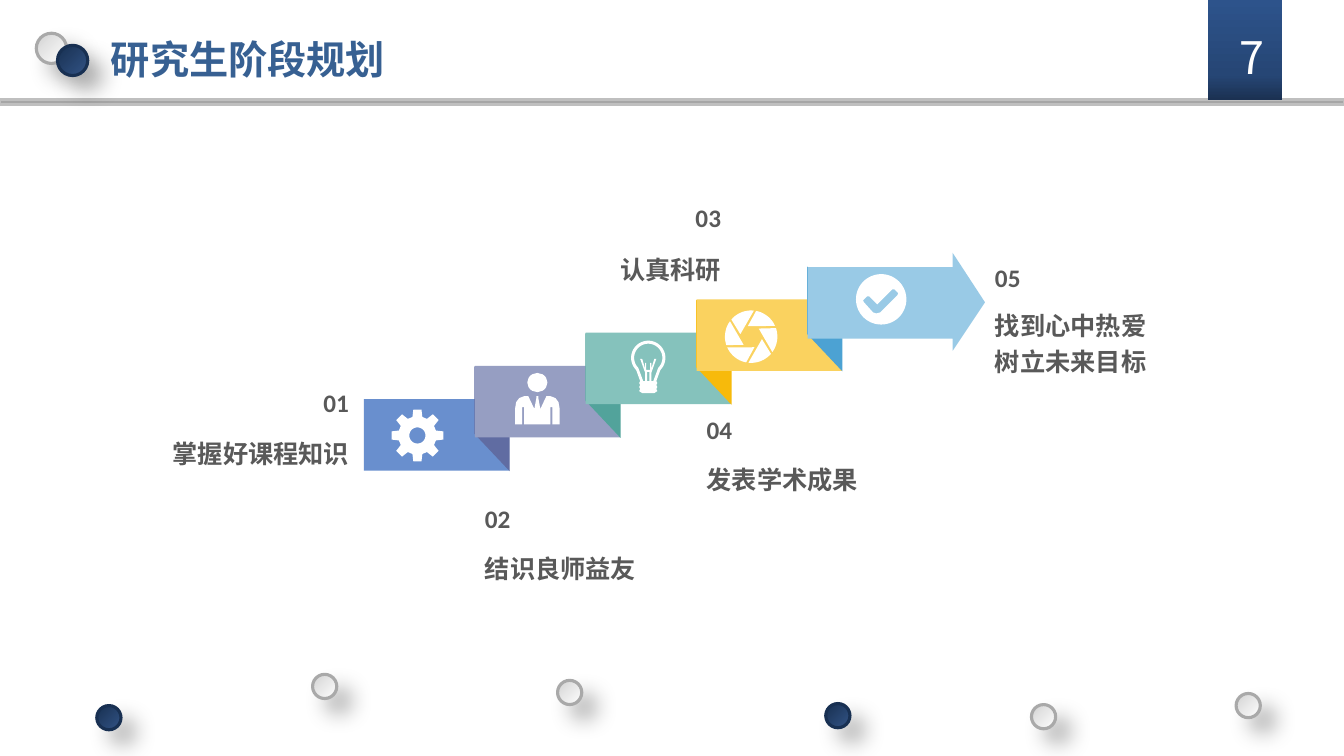
from dataclasses import dataclass
from math import cos, radians, sin

from lxml import etree
from pptx import Presentation
from pptx import util as u
from pptx.dml.color import RGBColor
from pptx.enum import shapes, text
from pptx.oxml import ns

Point = tuple[float, float]
Contour = list[Point]
CJK_FONT = "Noto Sans CJK SC"
WHITE, GREY_TEXT = "FFFFFF", "595959"
LEFT, RIGHT, CENTER = text.PP_ALIGN.LEFT, text.PP_ALIGN.RIGHT, text.PP_ALIGN.CENTER
TOP, MIDDLE, BOTTOM = text.MSO_ANCHOR.TOP, text.MSO_ANCHOR.MIDDLE, text.MSO_ANCHOR.BOTTOM
RECTANGLE, OVAL = shapes.MSO_SHAPE.RECTANGLE, shapes.MSO_SHAPE.OVAL


@dataclass
class Dot:
    left: float
    top: float
    size: float
    dark: bool


@dataclass
class Step:
    color: str
    fold: str


@dataclass
class Caption:
    number: str
    lines: list[str]
    left: float
    top: float
    height: float
    align: text.PP_ALIGN


DOTS = [
    Dot(0.36, 0.33, 0.3, False), Dot(0.57, 0.45, 0.3, True),
    Dot(3.1, 6.69, 0.24, False), Dot(5.53, 6.75, 0.24, False),
    Dot(10.23, 6.99, 0.24, False), Dot(0.96, 7, 0.24, True),
    Dot(8.19, 6.98, 0.24, True), Dot(12.26, 6.88, 0.24, False),
]
STEPS = [Step("698FCE", "606CA2"), Step("969EC2", "52A39B"),
         Step("85C2BC", "F7BA0B"), Step("FAD25F", "4CA2D3")]
CAPTIONS = [
    Caption("01", ["掌握好课程知识"], 0.84, 3.8, 0.56, RIGHT),
    Caption("02", ["结识良师益友"], 4.71, 4.95, 0.53, LEFT),
    Caption("03", ["认真科研"], 4.53, 1.97, 0.56, RIGHT),
    Caption("04", ["发表学术成果"], 6.91, 4.07, 0.53, LEFT),
    Caption("05", ["找到心中热爱", "树立未来目标"], 9.77, 2.56, 0.85, LEFT),
]


def rgb(color: str) -> RGBColor:
    return RGBColor.from_string(color)


# Shapes
def add_shape(page, kind, left: float, top: float, width: float, height: float, color: str):
    shape = page.shapes.add_shape(kind, *map(u.Inches, (left, top, width, height)))
    paint(shape, color)
    return shape


def paint(shape, color: str) -> None:
    shape.shadow.inherit = False
    shape.fill.solid()
    shape.fill.fore_color.rgb = rgb(color)
    shape.line.fill.background()


def add_outline(page, contours: list[Contour], color: str, x: float = 0, y: float = 0):
    """Draw closed contours around (x, y); inner contours become holes."""
    placed = [[(u.Inches(x + dx), u.Inches(y + dy)) for dx, dy in c] for c in contours]
    builder = page.shapes.build_freeform(*placed[0][0], scale=1.0)
    builder.add_line_segments(placed[0][1:], close=True)
    for contour in placed[1:]:
        builder.move_to(*contour[0])
        builder.add_line_segments(contour[1:], close=True)
    shape = builder.convert_to_shape()
    paint(shape, color)
    return shape


def add_gradient(shape, stops: list[tuple[int, str]], angle: float) -> None:
    shape.fill.gradient()
    shape.fill.gradient_angle = angle
    stop_list = next(shape.element.iter(ns.qn("a:gsLst")))
    for old in list(stop_list):
        stop_list.remove(old)
    for percent, color in stops:
        stop = etree.SubElement(stop_list, ns.qn("a:gs"), pos=str(percent * 1000))
        etree.SubElement(stop, ns.qn("a:srgbClr"), val=color)


def add_dot(page, dot: Dot) -> None:
    shape = add_shape(page, OVAL, dot.left, dot.top, dot.size, dot.size, WHITE)
    shape.rotation = 90
    start, end, rim = ("335485", "183052", "183052") if dot.dark else (WHITE, "D3D3D3", "A9A9A9")
    add_gradient(shape, [(0, start), (100, end)], 225)
    shape.line.color.rgb = rgb(rim)
    shape.line.width = u.Pt(2.25)
    effects = next(shape.element.iter(ns.qn("a:effectLst")))
    shadow = etree.SubElement(effects, ns.qn("a:outerShdw"), blurRad=str(u.Pt(16)),
                              dist=str(u.Pt(14)), dir="2700000", algn="tl", rotWithShape="0")
    black = etree.SubElement(shadow, ns.qn("a:srgbClr"), val="000000")
    etree.SubElement(black, ns.qn("a:alpha"), val="31000")


# Text
def add_text(page, lines: list[str], left: float, top: float, width: float, height: float,
             size: float, color: str, font: str = CJK_FONT, bold: bool = True, align=LEFT,
             anchor=MIDDLE, spacing: float = 1.0, wrap: bool = True):
    box = page.shapes.add_textbox(*map(u.Inches, (left, top, width, height)))
    frame = box.text_frame
    frame.word_wrap, frame.vertical_anchor = wrap, anchor
    frame.text = "\n".join(lines)
    for para in frame.paragraphs:
        para.alignment, para.line_spacing = align, spacing
        para.font.size, para.font.bold, para.font.name = u.Pt(size), bold, font
        para.font.color.rgb = rgb(color)
    for properties in box.element.iter(ns.qn("a:defRPr")):
        etree.SubElement(properties, ns.qn("a:ea"), typeface=CJK_FONT)
    return box


def add_caption(page, caption: Caption) -> None:
    add_text(page, [caption.number], caption.left, caption.top, 2.72, 0.39, 18, GREY_TEXT,
             "Calibri", align=caption.align, anchor=BOTTOM, wrap=False)
    add_text(page, caption.lines, caption.left, caption.top + 0.39, 2.72, caption.height, 18,
             GREY_TEXT, align=caption.align, spacing=1.2)


# Icon geometry, relative to each icon's centre
def polar(radius: float, degrees: float) -> Point:
    return radius * cos(radians(degrees)), radius * sin(radians(degrees))


def arc(radius: float, start: int, end: int, step: int = 5) -> Contour:
    return [polar(radius, a) for a in range(start, end + 1, step)]


def mirror(half: Contour) -> Contour:
    return half + [(-x, y) for x, y in reversed(half)]


def gear() -> list[Contour]:
    tooth = [(0.19, -15), (0.26, -9), (0.26, 9), (0.19, 15)]
    rim = [polar(r, a + turn) for turn in range(0, 360, 45) for r, a in tooth]
    return [rim, arc(0.08, 0, 355)]


def aperture() -> list[Contour]:
    return [arc(0.26, turn - 139, turn - 84) + [polar(0.11, turn - 167)]
            for turn in range(0, 360, 60)]


def bulb() -> list[Contour]:
    base = [(0.08, 0.23), (0.09, 0.25), (0.08, 0.27), (0.09, 0.29), (0.08, 0.31),
            (0.09, 0.33), (0.06, 0.35)]
    filament = [(0.05, 0.23), (0.03, 0.23), (0.03, 0.15), (0.08, 0.01), (0.06, 0.01),
                (0.03, 0.11), (0.03, 0.05), (0.02, 0.05), (0.02, 0.12)]
    return [mirror(arc(0.17, -90, 45) + base), mirror(arc(0.14, -90, 45) + filament),
            mirror([(0.01, 0.14), (0.01, 0.23)])]


def suit() -> list[Contour]:
    jacket = [(0, 0.05), (0.09, -0.14), (0.13, -0.14), (0.18, -0.12), (0.21, -0.08),
              (0.22, -0.02), (0.22, 0.14), (0.15, 0.14), (0.15, -0.03), (0.13, -0.03),
              (0.13, 0.14)]
    tie = [(0.01, -0.14), (0.01, -0.12), (0.03, -0.01), (0, 0.05)]
    return [mirror(jacket), mirror(tie)]


def check() -> list[Contour]:
    tick = [(0.16, -0.04), (0.17, -0.06), (0.13, -0.1), (0.11, -0.1), (-0.04, 0.05),
            (-0.12, -0.03), (-0.14, -0.03), (-0.18, 0.01), (-0.17, 0.03), (-0.08, 0.13),
            (-0.05, 0.14), (-0.01, 0.13)]
    return [arc(0.25, 0, 355), tick]


def main() -> None:
    deck = Presentation()
    deck.slide_width, deck.slide_height = u.Inches(13.33), u.Inches(7.5)
    page = deck.slides.add_slide(deck.slide_layouts[6])

    # Header and decoration
    rule = add_shape(page, RECTANGLE, 0, 0.99, 13.33, 0.05, "A6A6A6")
    rule.line.color.rgb = rgb("BFBFBF")
    rule.line.width = u.Pt(2)
    tab = add_shape(page, RECTANGLE, 11.98, 0, 0.74, 0.99, "264675")
    add_gradient(tab, [(0, "1B3152"), (25, "264675"), (100, "2D538B")], 90)
    for dot in DOTS:
        add_dot(page, dot)
    add_text(page, ["7"], 12.19, 0.41, 0.31, 0.3, 32, WHITE, bold=False, align=CENTER)
    title = add_text(page, ["研究生阶段规划"], 1.03, 0.31, 8.75, 0.55, 28, "376092", "Cambria",
                     anchor=TOP).text_frame
    title.margin_left = title.margin_right = u.Inches(0.07)
    title.margin_top = title.margin_bottom = u.Inches(0.04)

    # Folded ribbon rising to the arrow
    for index, step in enumerate(STEPS):
        left, top = 3.61 + 1.1 * index, 3.96 - 0.33 * index
        add_shape(page, RECTANGLE, left, top, 1.44, 0.71, step.color)
        fold = add_shape(page, shapes.MSO_SHAPE.PARALLELOGRAM, left + 0.75, top + 0.02,
                         1.04, 0.35, step.fold)
        fold.rotation = 90
        fold.adjustments[0] = 1.06
    arrow = [(9.45, 2.51), (9.77, 3), (9.45, 3.48), (9.45, 3.36), (8.01, 3.36),
             (8.01, 2.65), (9.45, 2.65)]
    add_outline(page, [arrow], "99CAE6")

    # Icons
    for contours, x, y in [(gear(), 4.14, 4.32), (suit(), 5.33, 4.07), (bulb(), 6.43, 3.55),
                           (aperture(), 7.45, 3.34), (check(), 8.74, 2.97)]:
        add_outline(page, contours, WHITE, x, y)
    add_shape(page, OVAL, 5.23, 3.7, 0.2, 0.19, WHITE)

    # Captions
    for caption in CAPTIONS:
        add_caption(page, caption)

    deck.save("out.pptx")


if __name__ == "__main__":
    main()
